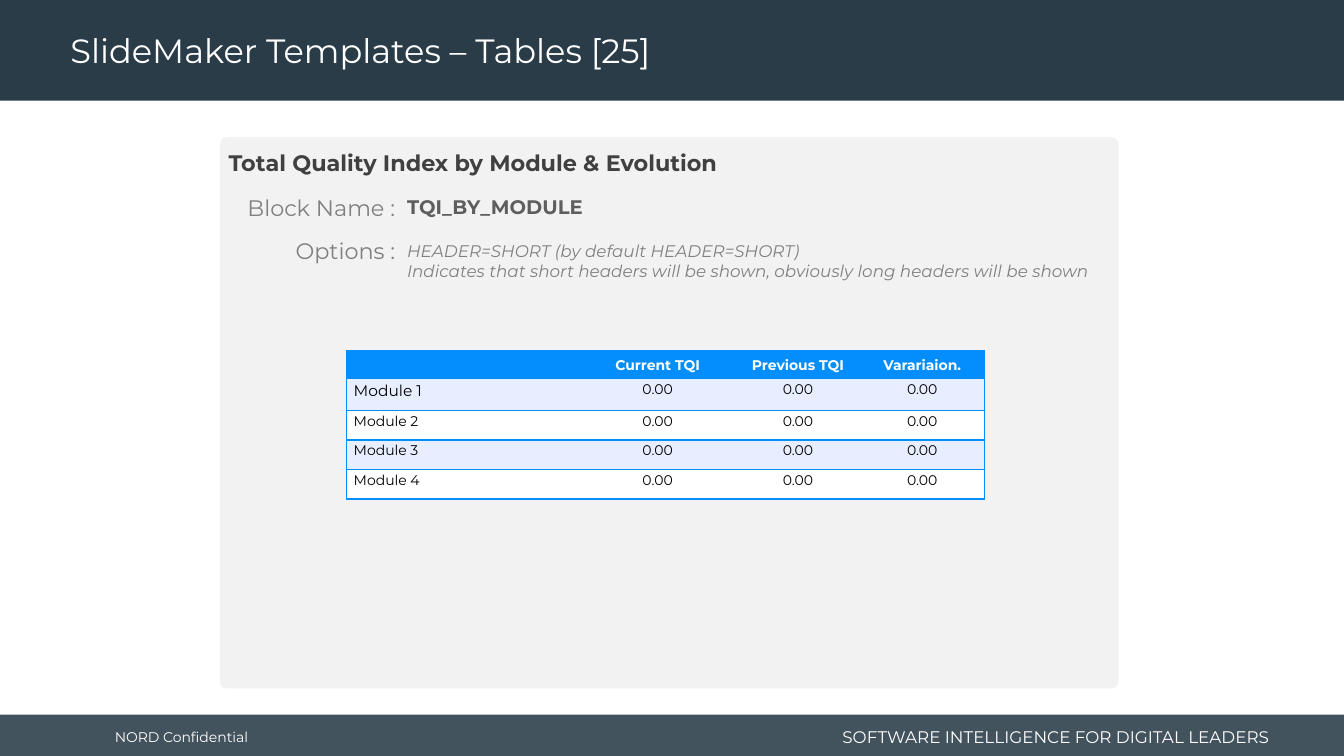
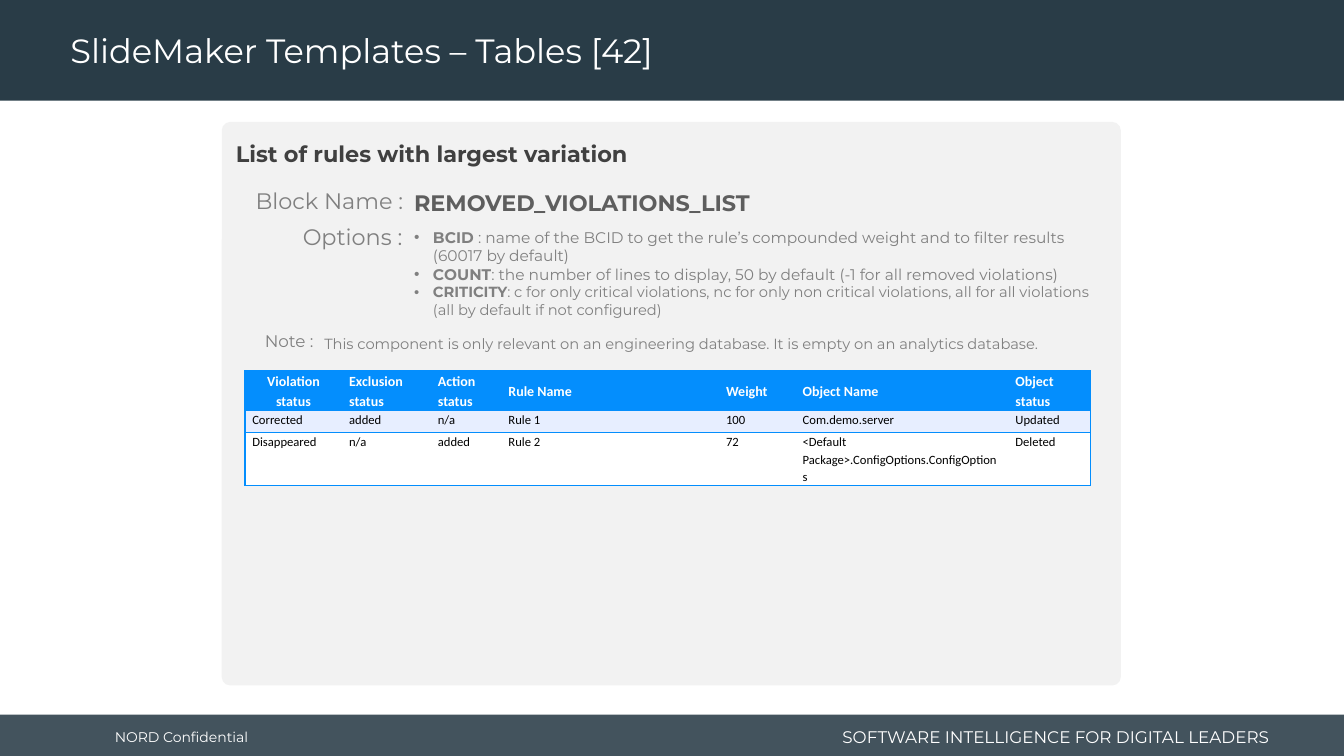
from dataclasses import dataclass
from typing import NamedTuple

from lxml.etree import SubElement as Sub
from pptx import Presentation
from pptx.dml.color import RGBColor as Rgb
from pptx.enum.shapes import MSO_SHAPE as Form
from pptx.enum.text import MSO_ANCHOR as Anchor, MSO_AUTO_SIZE as Fit, PP_ALIGN as Align
from pptx.oxml.ns import qn
from pptx.util import Pt

NAVY = Rgb(0x29, 0x3C, 0x47)
WHITE = Rgb(0xFF, 0xFF, 0xFF)
BLACK = Rgb(0, 0, 0)
PALE = Rgb(0xF2, 0xF2, 0xF2)
DARK = Rgb(0x40, 0x40, 0x40)
SLATE = Rgb(0x5E, 0x5E, 0x5E)
GREY = Rgb(0x80, 0x80, 0x80)
BLUE = Rgb(0x04, 0x8E, 0xFD)
ICE = Rgb(0xE7, 0xEE, 0xFF)
FONT = "Montserrat"
PLAIN = "{2D5ABB26-0587-4C30-8999-92F81FD0307C}"
WIDE, HIGH = 960, 540


class Box(NamedTuple):
    x: float
    y: float
    w: float
    h: float


class Line(NamedTuple):
    text: str
    size: float
    lead: str = ""


@dataclass
class Text:
    box: Box
    lines: list[Line]
    color: Rgb = GREY
    bold: bool = False
    slant: bool = False
    align: Align = Align.LEFT
    wrap: bool = True
    side: float = 7.2
    mid: bool = False
    space: float = 1.0


@dataclass
class Grid:
    x: float
    y: float
    cols: list[float]
    highs: list[float]
    rows: list[list[str]]
    font: str
    size: float
    mid: set[tuple[int, int]]
    big: tuple[int, int] | None = None


@dataclass
class Page:
    number: int
    panel: Box
    curve: float
    texts: list[Text]
    grid: Grid


def label(text: str, x: float, y: float, w: float, size: float = 16) -> Text:
    return Text(Box(x, y, w, 26.6), [Line(text, size)], align=Align.RIGHT, wrap=False)


def head(text: str, x: float, y: float) -> Text:
    return Text(Box(x, y, 642, 26.6), [Line(text, 16)], DARK, bold=True, side=14.4)


def block(text: str, x: float, y: float, size: float) -> Text:
    return Text(Box(x, y, 522, 26.6), [Line(text, size)], SLATE, bold=True)


def draw_form(slide, box: Box, color: Rgb, form: Form = Form.RECTANGLE):
    shape = slide.shapes.add_shape(form, *map(Pt, box))
    shape.shadow.inherit = False
    shape.fill.solid()
    shape.fill.fore_color.rgb = color
    shape.line.fill.background()
    return shape


def draw_text(slide, item: Text) -> None:
    frame = slide.shapes.add_textbox(*map(Pt, item.box)).text_frame
    frame.word_wrap = item.wrap
    frame.auto_size = Fit.NONE if item.mid else Fit.SHAPE_TO_FIT_TEXT
    frame.vertical_anchor = Anchor.MIDDLE if item.mid else Anchor.TOP
    frame.margin_left = frame.margin_right = Pt(item.side)
    for i, line in enumerate(item.lines):
        para = frame.add_paragraph() if i else frame.paragraphs[0]
        para.alignment = item.align
        para.line_spacing = item.space
        if line.lead:
            props = para._p.get_or_add_pPr()
            props.set("marL", str(Pt(13.5)))
            props.set("indent", str(Pt(-13.5)))
            Sub(props, qn("a:buFont")).set("typeface", "Arial")
            Sub(props, qn("a:buChar")).set("char", "•")
            run = para.add_run()
            run.text = line.lead
            run.font.bold = True
        para.add_run().text = line.text
        font = para.font
        font.name, font.size, font.color.rgb = FONT, Pt(line.size), item.color
        font.bold, font.italic = item.bold, item.slant


def draw_edge(cell, tag: str) -> None:
    edge = Sub(cell._tc.get_or_add_tcPr(), qn(f"a:{tag}"), w=str(Pt(1)))
    fill = Sub(edge, qn("a:solidFill"))
    Sub(fill, qn("a:srgbClr")).set("val", str(BLUE))


def draw_grid(slide, grid: Grid) -> None:
    box = Box(grid.x, grid.y, sum(grid.cols), sum(grid.highs))
    table = slide.shapes.add_table(len(grid.rows), len(grid.cols), *map(Pt, box)).table
    table.horz_banding = False
    table._tbl.tblPr.find(qn("a:tableStyleId")).text = PLAIN
    for col, w in zip(table.columns, grid.cols):
        col.width = Pt(w)
    for r, (row, h) in enumerate(zip(grid.rows, grid.highs)):
        table.rows[r].height = Pt(h)
        for c, text in enumerate(row):
            cell = table.cell(r, c)
            cell.margin_left = cell.margin_right = Pt(5.2)
            cell.margin_top = cell.margin_bottom = 0
            cell.vertical_anchor = Anchor.TOP if r else Anchor.MIDDLE
            if c == 0:
                draw_edge(cell, "lnL")
            if c == len(row) - 1:
                draw_edge(cell, "lnR")
            draw_edge(cell, "lnT")
            draw_edge(cell, "lnB")
            cell.fill.solid()
            cell.fill.fore_color.rgb = (ICE if r % 2 else WHITE) if r else BLUE
            para = cell.text_frame.paragraphs[0]
            if text:
                para.add_run().text = text
            para.alignment = Align.CENTER if (r, c) in grid.mid else Align.LEFT
            para.line_spacing = 1.15
            font = para.font
            font.name = grid.font
            font.size = Pt(11 if (r, c) == grid.big else grid.size if r else 10)
            font.bold = r == 0
            font.color.rgb = BLACK if r else WHITE


def draw_base(slide, number: int) -> None:
    foot = draw_form(slide, Box(0, 510.5, WIDE, 31.7), NAVY)
    tint = foot.fill._xPr.find(qn("a:solidFill"))[0]
    Sub(tint, qn("a:alpha")).set("val", "88000")
    draw_form(slide, Box(0, 0, WIDE, 72), NAVY)
    for item in (
        Text(Box(74.9, 512, 106.6, 28.8), [Line("NORD Confidential", 10)], WHITE,
             wrap=False, mid=True),
        Text(Box(584, 514.8, 329.8, 23), [Line("SOFTWARE INTELLIGENCE FOR DIGITAL LEADERS", 12)],
             WHITE, align=Align.RIGHT, mid=True),
        Text(Box(43.2, 2.9, 689.8, 69.1), [Line(f"SlideMaker Templates – Tables [{number}]", 24)],
             WHITE, mid=True, space=0.9),
    ):
        draw_text(slide, item)


def draw_page(deck, page: Page) -> None:
    slide = deck.slides.add_slide(deck.slide_layouts[6])
    draw_base(slide, page.number)
    panel = draw_form(slide, page.panel, PALE, Form.ROUNDED_RECTANGLE)
    panel.adjustments[0] = page.curve
    for item in page.texts:
        draw_text(slide, item)
    draw_grid(slide, page.grid)


PAGES = [
    Page(
        25, Box(157, 98, 642, 393.8), 0.013,
        [
            head("Total Quality Index by Module & Evolution", 149, 103),
            block("TQI_BY_MODULE", 283.7, 136, 14),
            label("Block Name :", 169.2, 135.4, 120.2),
            Text(Box(283.7, 168.5, 522, 36), [
                Line("HEADER=SHORT (by default HEADER=SHORT)", 12),
                Line("Indicates that short headers will be shown, "
                     "obviously long headers will be shown", 12),
            ], slant=True),
            label("Options :", 202.3, 165.6, 87.1),
        ],
        Grid(
            247.5, 250.5, [166.5, 111.6, 88.8, 88.8], [19.7, 23, 21.1, 21.1, 21.1],
            [["", "Current TQI", "Previous TQI", "Varariaion."]]
            + [[f"Module {n}"] + ["0.00"] * 3 for n in range(1, 5)],
            FONT, 10, {(r, c) for r in range(5) for c in range(1, 4)}, (1, 0),
        ),
    ),
    Page(
        42, Box(158.4, 87.1, 642.2, 402.5), 0.015,
        [
            head("List of rules with largest variation", 154.1, 96.5),
            block("REMOVED_VIOLATIONS_LIST", 288.7, 131.8, 16),
            label("Block Name :", 175, 130.3, 120.2),
            Text(Box(288.7, 159.1, 514, 72.7), [
                Line(" : name of the BCID to get the rule’s compounded weight "
                     "and to filter results (60017 by default)", 11, "BCID"),
                Line(": the number of lines to display, 50 by default "
                     "(-1 for all removed violations)", 11, "COUNT"),
                Line(": c for only critical violations, nc for only non critical violations, "
                     "all for all violations (all by default if not configured)",
                     10.5, "CRITICITY"),
            ]),
            label("Options :", 207.4, 156.2, 87.1),
            Text(Box(224.6, 235.4, 550.8, 20.9), [
                Line("This component is only relevant on an engineering database. "
                     "It is empty on an analytics database.", 10.5),
            ]),
            label("Note :", 180.7, 232.6, 50.4, 12),
        ],
        Grid(
            175, 265, [69.2, 63.4, 50.4, 155.5, 54.7, 152, 59], [28, 16, 38],
            [
                ["Violation status", "Exclusion status", "Action status", "Rule Name",
                 "Weight", "Object Name", "Object status"],
                ["Corrected", "added", "n/a", "Rule 1", "100", "Com.demo.server", "Updated"],
                ["Disappeared", "n/a", "added", "Rule 2", "72",
                 "<Default Package>.ConfigOptions.ConfigOptions", "Deleted"],
            ],
            "Calibri", 9, {(0, 0)},
        ),
    ),
]


def main() -> None:
    deck = Presentation()
    deck.slide_width, deck.slide_height = Pt(WIDE), Pt(HIGH)
    for page in PAGES:
        draw_page(deck, page)
    deck.save("out.pptx")


if __name__ == "__main__":
    main()
